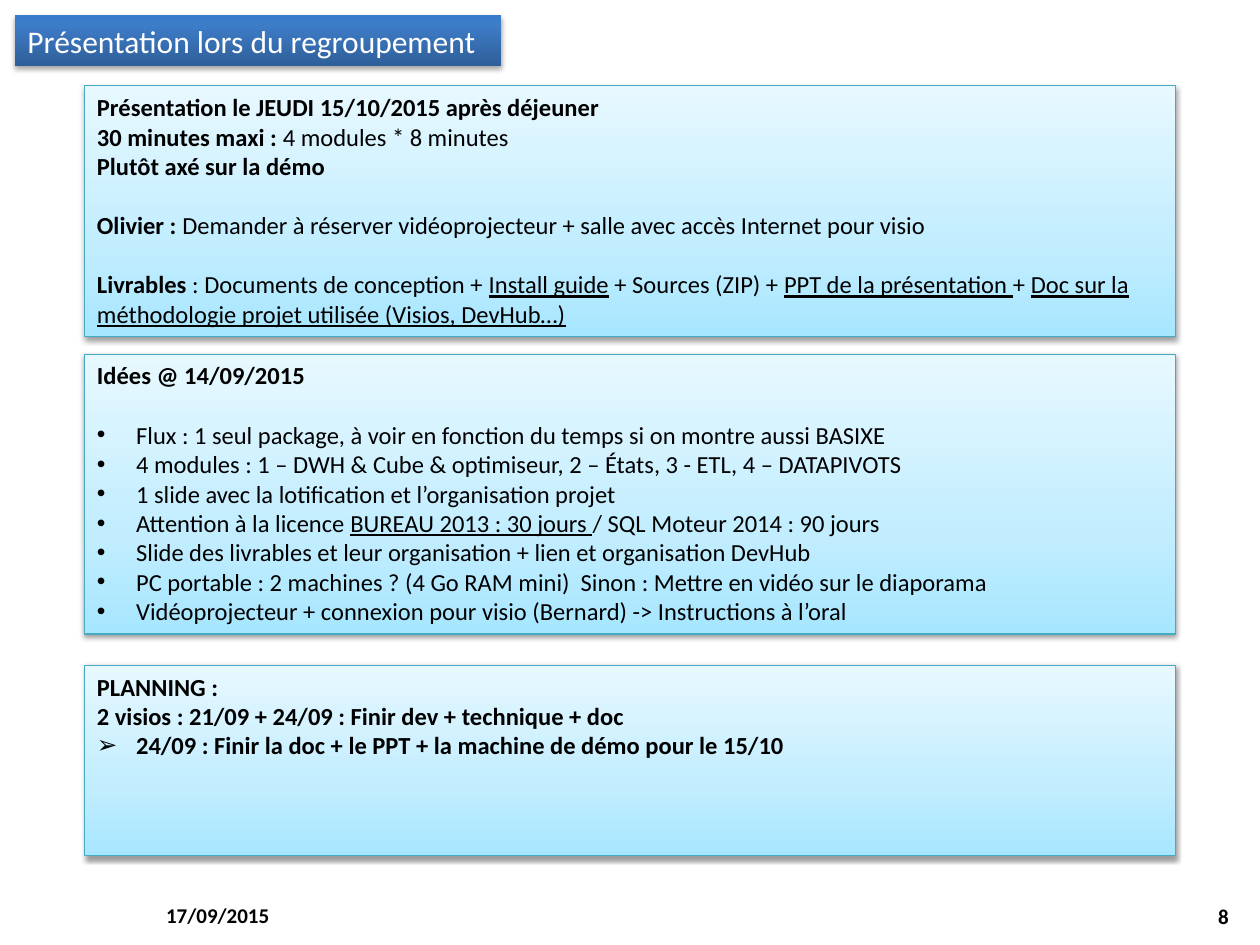
from lxml import etree
from pptx import Presentation
from pptx.dml.color import RGBColor as RGB
from pptx.enum.text import MSO_ANCHOR as Anchor, MSO_AUTO_SIZE as AutoSize, PP_ALIGN as Align
from pptx.oxml import parse_xml
from pptx.oxml.ns import nsdecls, qn
from pptx.util import Cm, Pt

BLACK = RGB(0x00, 0x00, 0x00)
WHITE = RGB(0xFF, 0xFF, 0xFF)
TEAL = RGB(0x46, 0xAA, 0xC5)
BANNER = [(0, RGB(0x2F, 0x5F, 0x99)), (80, RGB(0x3D, 0x7C, 0xC7)), (100, RGB(0x3A, 0x7C, 0xCB))]
PANEL = [(0, RGB(0xA7, 0xE6, 0xFF)), (35, RGB(0xC1, 0xED, 0xFF)), (100, RGB(0xE7, 0xF8, 0xFF))]

BOLD = {"bold": True, "underline": False}
PLAIN = {"bold": False, "underline": False}
UNDER = {"bold": False, "underline": True}
FRAME = {"auto_size": AutoSize.NONE, "word_wrap": True, "vertical_anchor": Anchor.TOP}
INDENT = Cm(0.79)
GAP = Pt(17)


def paint(shape, stops, opacity, distance):
    stop_list = "".join(
        f'<a:gs pos="{pos * 1000}"><a:srgbClr val="{color}"/></a:gs>' for pos, color in stops)
    properties = shape.element.spPr
    properties.append(parse_xml(
        f'<a:gradFill {nsdecls("a")} rotWithShape="1"><a:gsLst>{stop_list}</a:gsLst>'
        '<a:lin ang="16200000" scaled="0"/></a:gradFill>'))
    properties.append(parse_xml(
        f'<a:effectLst {nsdecls("a")}><a:outerShdw blurRad="{Pt(3.1)}" dist="{Pt(distance)}" '
        'dir="5400000" rotWithShape="0"><a:srgbClr val="000000">'
        f'<a:alpha val="{opacity * 1000}"/></a:srgbClr></a:outerShdw></a:effectLst>'))


def write(paragraph, runs, size, color):
    for text, style in runs:
        run = paragraph.add_run()
        run.text = text
        run.font.color.rgb = color
        for name, value in {"name": "Calibri", "size": Pt(size), **style}.items():
            setattr(run.font, name, value)


prs = Presentation()
prs.slide_width, prs.slide_height = Cm(25.4), Cm(19.05)
slide = prs.slides.add_slide(prs.slide_layouts.get_by_name("Comparison"))

title = slide.shapes.title
TITLE_BOX = {"left": Cm(0.3), "top": Cm(0.3), "width": Cm(9.8), "height": Cm(1.03)}
for name, value in TITLE_BOX.items():
    setattr(title, name, value)
for name, value in {**FRAME, "vertical_anchor": Anchor.MIDDLE}.items():
    setattr(title.text_frame, name, value)
paint(title, BANNER, 35, 1.8)
heading = title.text_frame.paragraphs[0]
heading.alignment = Align.LEFT
write(heading, [("Présentation lors du regroupement", PLAIN)], 18, WHITE)

presentation = [
    (None, 0, [("Présentation le JEUDI 15/10/2015 après déjeuner", BOLD)]),
    (None, 0, [("30 minutes maxi : ", BOLD), ("4 modules * 8 minutes", PLAIN)]),
    (None, 0, [("Plutôt axé sur la démo", BOLD)]),
    (None, GAP, [("Olivier : ", BOLD),
                 ("Demander à réserver vidéoprojecteur + salle avec accès Internet pour visio", PLAIN)]),
    (None, GAP, [("Livrables", BOLD), (" : Documents de conception + ", PLAIN),
                 ("Install guide", UNDER), (" + Sources (ZIP) + ", PLAIN),
                 ("PPT de la présentation ", UNDER), ("+ ", PLAIN),
                 ("Doc sur la méthodologie projet utilisée (Visios, DevHub…)", UNDER)]),
]
ideas = [
    (None, 0, [("Idées @ 14/09/2015", BOLD)]),
    ("•", GAP, [("Flux : 1 seul package, à voir en fonction du temps si on montre aussi BASIXE", PLAIN)]),
    ("•", 0, [("4 modules : 1 – DWH & Cube & optimiseur, 2 – États, 3 - ETL, 4 – DATAPIVOTS", PLAIN)]),
    ("•", 0, [("1 slide avec la lotification et l’organisation projet", PLAIN)]),
    ("•", 0, [("Attention à la licence ", PLAIN), ("BUREAU 2013 : 30 jours ", UNDER),
              ("/ SQL Moteur 2014 : 90 jours", PLAIN)]),
    ("•", 0, [("Slide des livrables et leur organisation + lien et organisation DevHub", PLAIN)]),
    ("•", 0, [("PC portable : 2 machines ? (4 Go RAM mini)  Sinon : Mettre en vidéo sur le diaporama", PLAIN)]),
    ("•", 0, [("Vidéoprojecteur + connexion pour visio (Bernard) -> Instructions à l’oral", PLAIN)]),
]
planning = [
    (None, 0, [("PLANNING :", BOLD)]),
    (None, 0, [("2 visios : 21/09 + 24/09 : Finir dev + technique + doc", BOLD)]),
    ("➢", 0, [("24/09 : Finir la doc + le PPT + la machine de démo pour le 15/10", BOLD)]),
]

_, *panels, spare = slide.placeholders
spare.element.getparent().remove(spare.element)
sections = [(1.73, 5.05, presentation), (7.14, 5.64, ideas), (13.41, 3.84, planning)]
for panel, (top, height, lines) in zip(panels, sections):
    box = {"left": Cm(1.7), "top": Cm(top), "width": Cm(22), "height": Cm(height)}
    for name, value in box.items():
        setattr(panel, name, value)
    for name, value in FRAME.items():
        setattr(panel.text_frame, name, value)
    paint(panel, PANEL, 38, 1.6)
    panel.line.color.rgb = TEAL
    panel.line.width = Pt(0.75)
    for number, (bullet, gap, runs) in enumerate(lines):
        frame = panel.text_frame
        paragraph = frame.add_paragraph() if number else frame.paragraphs[0]
        layout = paragraph._p.get_or_add_pPr()
        layout.set("marL", str(INDENT if bullet else 0))
        layout.set("indent", str(-INDENT if bullet else 0))
        if bullet:
            etree.SubElement(layout, qn("a:buFont"), typeface="Arial")
            etree.SubElement(layout, qn("a:buChar"), char=bullet)
        else:
            etree.SubElement(layout, qn("a:buNone"))
        paragraph.space_before = Pt(0) if not gap else gap
        write(paragraph, runs, 14, BLACK)

footers = [(3.1, 17.93, "17/09/2015", Align.LEFT), (19.1, 17.96, "8", Align.RIGHT)]
for left, top, text, alignment in footers:
    footer = slide.shapes.add_textbox(Cm(left), Cm(top), Cm(5.92), Cm(1.02)).text_frame
    for name, value in {**FRAME, "vertical_anchor": Anchor.MIDDLE}.items():
        setattr(footer, name, value)
    footer.paragraphs[0].alignment = alignment
    write(footer.paragraphs[0], [(text, BOLD)], 12, BLACK)

prs.save("out.pptx")
